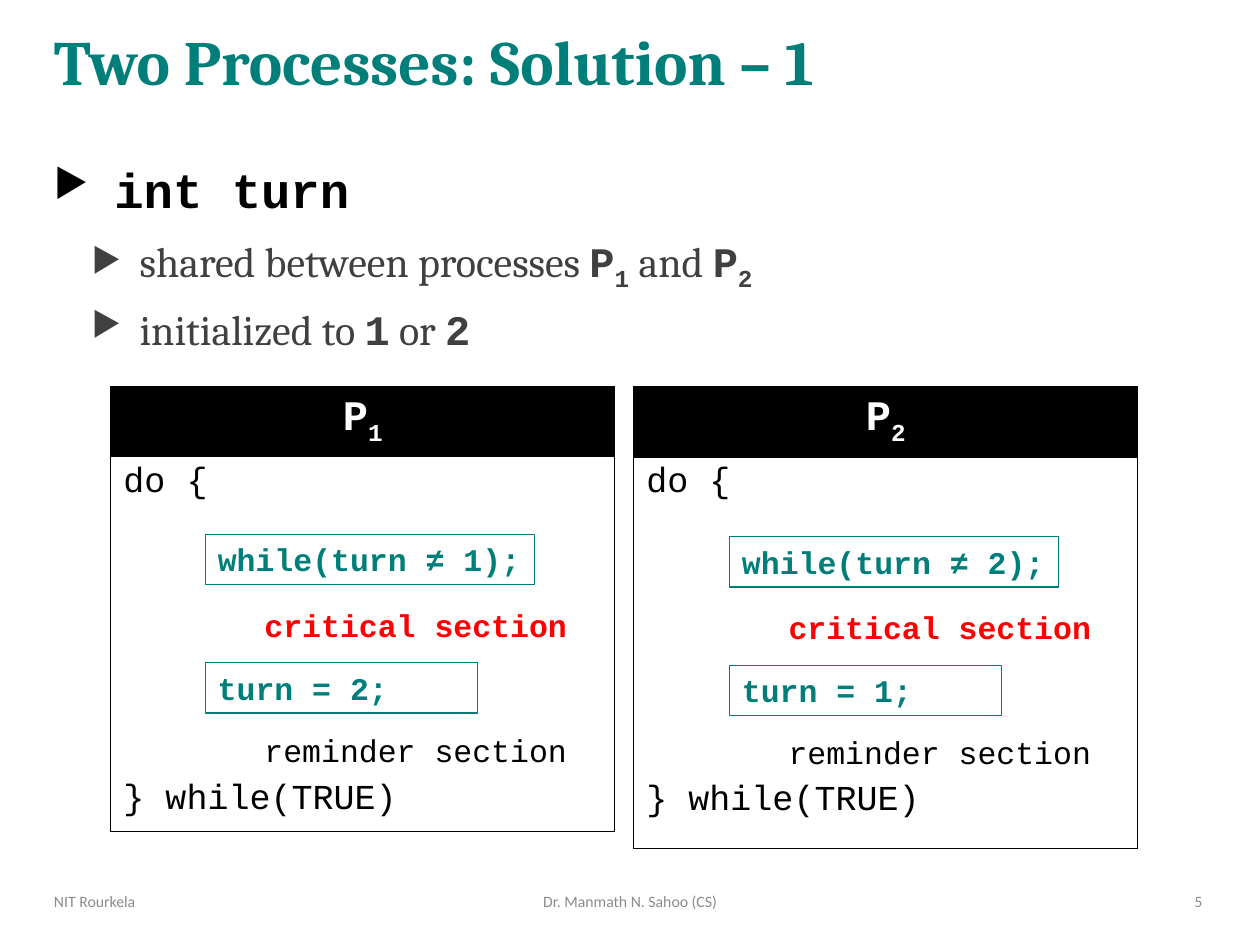
"""Build a slide on the turn-based solution for two processes."""
from lxml import etree
from pptx import Presentation, util as u
from pptx.dml.color import RGBColor
from pptx.enum import shapes, text as t
from pptx.oxml import ns

TEAL = RGBColor(0x00, 0x7E, 0x7A)
BLACK = RGBColor(0, 0, 0)
WHITE = RGBColor(255, 255, 255)
RED = RGBColor(255, 0, 0)
DARK = RGBColor(0x40, 0x40, 0x40)
GREY = RGBColor(0x8C, 0x8C, 0x8C)
CODE, SERIF, SANS = "Courier New", "Cambria", "Calibri"
LEFT, CENTER, RIGHT = t.PP_ALIGN.LEFT, t.PP_ALIGN.CENTER, t.PP_ALIGN.RIGHT

TITLE = "Two Processes: Solution – 1"
BULLETS = [
    (0, 28, BLACK, [("int turn", "code")]),
    (1, 24, DARK, [("shared between processes ", ""), ("P", "code"), ("1", "sub"),
                   (" and ", ""), ("P", "code"), ("2", "sub")]),
    (1, 24, DARK, [("initialized to ", ""), ("1", "code"), (" or ", ""), ("2", "code")]),
]
BULLET_LEVELS = [
    {"indent": 0.48, "hang": 0.48, "format": {"line_spacing": 1.2, "space_after": u.Pt(10)}},
    {"indent": 0.68, "hang": 0.38, "format": {"space_after": u.Pt(6)}},
]
PROCESSES = [
    {"number": 1, "other": 2, "left": 0.88, "rows": (0.53, 2.93), "steps": (1.63, 4.24)},
    {"number": 2, "other": 1, "left": 5.03, "rows": (0.56, 3.1), "steps": (5.79, 4.26)},
]
STEPS = [
    ("while(turn ≠ {number});", 0, 0, 2.61, TEAL, True, True),
    ("turn = {other};", 0, 1.02, 2.16, TEAL, True, True),
    ("critical section", 0.37, 0.52, 2.61, RED, True, False),
    ("reminder section", 0.37, 1.51, 2.61, BLACK, False, False),
]
FOOTER = [("NIT Rourkela", 0.33, 2.6, LEFT),
          ("Dr. Manmath N. Sahoo (CS)", 3.31, 3.38, CENTER),
          ("5", 7.27, 2.37, RIGHT)]
TABLE_TOP, TABLE_WIDTH = 3.07, 4
SECTION_GAP = 158.6


def assign(target, values):
    for name, value in values.items():
        setattr(target, name, value)


def add_run(paragraph, words, font, size, color, bold=False, baseline=0):
    run = paragraph.add_run()
    run.text = words
    assign(run.font, {"name": font, "size": u.Pt(size), "bold": bold})
    run.font.color.rgb = color
    if baseline:
        run.font._element.set("baseline", str(baseline))


def add_box(slide, box, anchor=t.MSO_ANCHOR.TOP, wrap=True):
    shape = slide.shapes.add_textbox(*map(u.Inches, box))
    assign(shape.text_frame, {"word_wrap": wrap, "vertical_anchor": anchor})
    return shape.text_frame


def add_bullet(paragraph, level):
    layout = BULLET_LEVELS[level]
    assign(paragraph, {"level": level, "alignment": t.PP_ALIGN.JUSTIFY, **layout["format"]})
    properties = paragraph._p.get_or_add_pPr()
    properties.set("marL", str(u.Inches(layout["indent"])))
    properties.set("indent", str(-u.Inches(layout["hang"])))
    etree.SubElement(properties, ns.qn("a:buSzPct"), val="80000")
    etree.SubElement(properties, ns.qn("a:buChar"), char="▶")


def add_borders(cell):
    properties = cell._tc.get_or_add_tcPr()
    for index, side in enumerate(("lnL", "lnR", "lnT", "lnB")):
        line = etree.Element(ns.qn("a:" + side), w=str(u.Pt(0.5)))
        fill = etree.SubElement(line, ns.qn("a:solidFill"))
        etree.SubElement(fill, ns.qn("a:srgbClr"), val=str(BLACK))
        properties.insert(index, line)


def add_process_table(slide, process):
    table = slide.shapes.add_table(2, 1, *map(u.Inches, (
        process["left"], TABLE_TOP, TABLE_WIDTH, sum(process["rows"])))).table
    for row, height in zip(table.rows, process["rows"]):
        row.height = u.Inches(height)
    header, body = table.cell(0, 0), table.cell(1, 0)
    for cell, color in ((header, BLACK), (body, WHITE)):
        cell.fill.solid()
        cell.fill.fore_color.rgb = color
        add_borders(cell)
    header.vertical_anchor = t.MSO_ANCHOR.MIDDLE
    heading = header.text_frame.paragraphs[0]
    heading.alignment = CENTER
    add_run(heading, "P", CODE, 24, WHITE, True)
    add_run(heading, str(process["number"]), CODE, 24, WHITE, True, -25000)
    add_run(body.text_frame.paragraphs[0], "do {", CODE, 20, BLACK)
    closing = body.text_frame.add_paragraph()
    closing.space_before = u.Pt(SECTION_GAP)
    add_run(closing, "} while(TRUE)", CODE, 20, BLACK)


def add_steps(slide, process):
    left, top = process["steps"]
    for words, across, down, width, color, bold, framed in STEPS:
        box = (left + across, top + down, width, 0.4)
        if framed:
            shape = slide.shapes.add_shape(shapes.MSO_SHAPE.RECTANGLE, *map(u.Inches, box))
            shape.shadow.inherit = False
            shape.fill.background()
            shape.line.color.rgb = TEAL
            shape.line.width = u.Pt(0.75)
            frame = shape.text_frame
            assign(frame, {"word_wrap": False, "vertical_anchor": t.MSO_ANCHOR.TOP})
        else:
            frame = add_box(slide, box, wrap=False)
        frame.paragraphs[0].alignment = LEFT
        add_run(frame.paragraphs[0], words.format(**process), CODE, 18, color, bold)


presentation = Presentation()
assign(presentation, {"slide_width": u.Inches(10), "slide_height": u.Inches(7.5)})
slide = presentation.slides.add_slide(presentation.slide_layouts[6])

title = add_box(slide, (0.33, 0.04, 9.3, 0.96), t.MSO_ANCHOR.MIDDLE).paragraphs[0]
title.line_spacing = 0.9
add_run(title, TITLE, SERIF, 36, TEAL, True)

body = add_box(slide, (0.33, 1.12, 9.3, 5.64))
for index, (level, size, color, runs) in enumerate(BULLETS):
    paragraph = body.add_paragraph() if index else body.paragraphs[0]
    add_bullet(paragraph, level)
    for words, style in runs:
        add_run(paragraph, words, CODE if style else SERIF, size, color,
                bool(style), -25000 if style == "sub" else 0)

for process in PROCESSES:
    add_process_table(slide, process)
    add_steps(slide, process)

for words, left, width, alignment in FOOTER:
    paragraph = add_box(slide, (left, 6.95, width, 0.4), t.MSO_ANCHOR.MIDDLE).paragraphs[0]
    paragraph.alignment = alignment
    add_run(paragraph, words, SANS, 9, GREY)

presentation.save("out.pptx")
